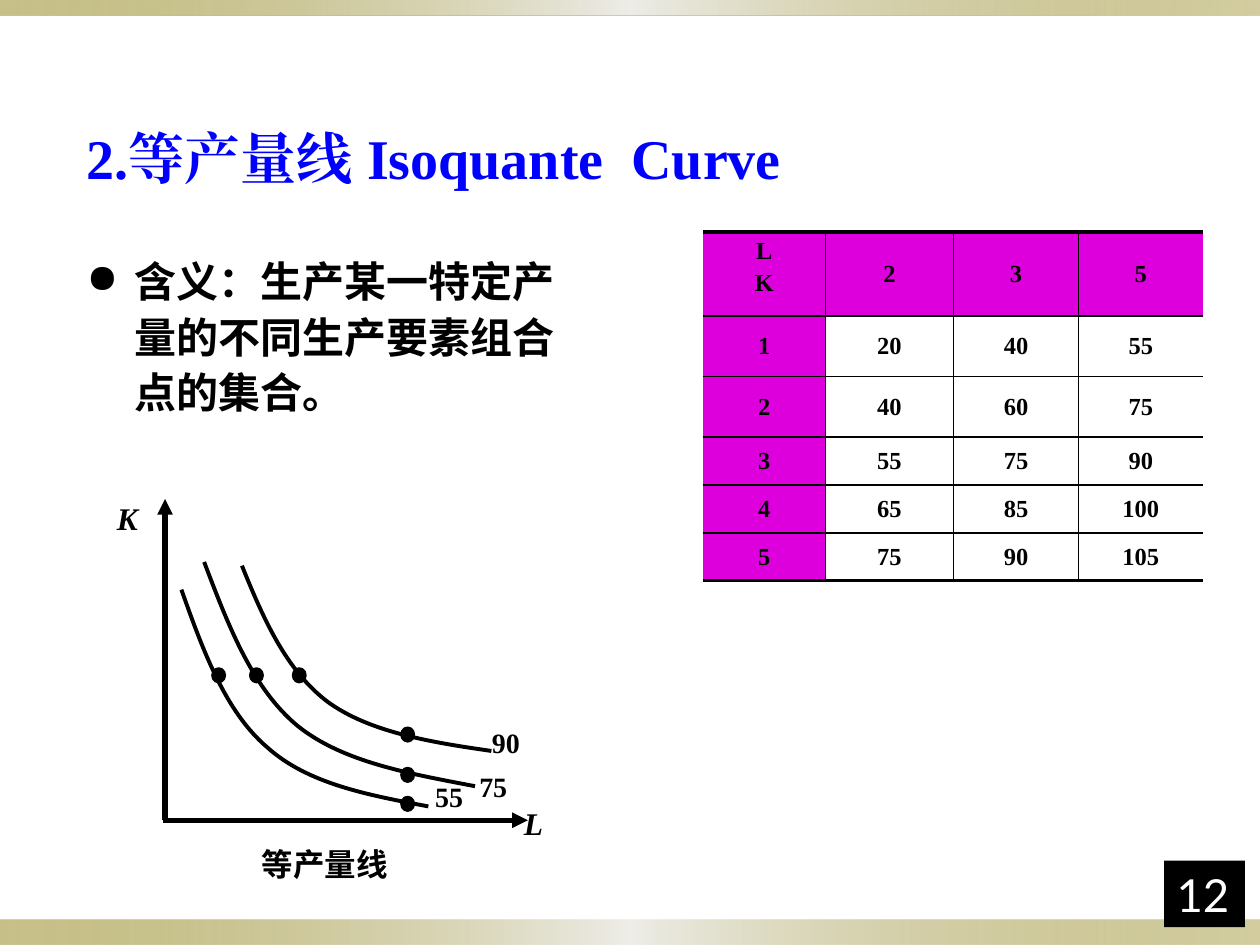
from lxml import etree
from pptx import Presentation
from pptx import util as u
from pptx.dml.color import RGBColor
from pptx.enum import shapes, text
from pptx.oxml import parse_xml
from pptx.oxml.ns import qn

PX = 9144  # EMU per px, 100 px to the inch
BLACK = RGBColor(0x00, 0x00, 0x00)
WHITE = RGBColor(0xFF, 0xFF, 0xFF)
BLUE = RGBColor(0x00, 0x00, 0xFF)
MAGENTA = RGBColor(0xDD, 0x00, 0xDD)
SERIF, SANS, CJK = "Times New Roman", "Lato", "Noto Sans CJK SC"
A = "http://schemas.openxmlformats.org/drawingml/2006/main"
CENTER = text.PP_ALIGN.CENTER
MIDDLE = text.MSO_ANCHOR.MIDDLE


class Board:
    base = {"name": SERIF, "size": 18, "bold": True, "italic": False, "color": BLACK}

    def __init__(self, slide):
        self.s = slide

    def run(self, p, words, **style):
        r = p.add_run()
        r.text = words
        for key, value in {**self.base, **style}.items():
            if key == "color":
                r.font.color.rgb = value
            else:
                setattr(r.font, key, u.Pt(value) if key == "size" else value)
        etree.SubElement(r.font._element, qn("a:ea"), typeface=r.font.name)

    def label(self, box, words, align=None, wrap=True, anchor=text.MSO_ANCHOR.TOP, **style):
        sp = self.s.shapes.add_textbox(*(v * PX for v in box))
        tf = sp.text_frame
        tf.word_wrap, tf.vertical_anchor = wrap, anchor
        p = tf.paragraphs[0]
        p.alignment = align
        if words:
            self.run(p, words, **style)
        return p

    def hang(self, p, indent, bullet=None, percent=100):
        pPr = p._p.get_or_add_pPr()
        pPr.set("marL", str(indent * PX))
        pPr.set("indent", str(-indent * PX))
        if bullet:
            etree.SubElement(pPr, qn("a:buSzPct"), val=str(percent * 1000))
            etree.SubElement(pPr, qn("a:buChar"), char=bullet)

    def block(self, kind, box, fill=None, line=None):
        sp = self.s.shapes.add_shape(kind, *(v * PX for v in box))
        sp.shadow.inherit = False
        if fill is not None:
            sp.fill.solid()
            sp.fill.fore_color.rgb = fill
        if line:
            sp.line.color.rgb, sp.line.width = BLACK, u.Pt(line)
        else:
            sp.line.fill.background()
        return sp

    def band(self, box):
        sp = self.block(shapes.MSO_SHAPE.RECTANGLE, box)
        stops = "".join(
            f'<a:gs pos="{pos}000"><a:srgbClr val="{color}"><a:alpha val="{alpha}000"/></a:srgbClr></a:gs>'
            for pos, color, alpha in ((0, "918415", 50), (50, "EEEDE8", 100), (100, "918415", 40)))
        sp._element.spPr.find(qn("a:prstGeom")).addnext(parse_xml(
            f'<a:gradFill xmlns:a="{A}"><a:gsLst>{stops}</a:gsLst><a:lin ang="0" scaled="0"/></a:gradFill>'))

    def arrow(self, *ends):
        c = self.s.shapes.add_connector(shapes.MSO_CONNECTOR.STRAIGHT, *(v * PX for v in ends))
        c.line.color.rgb, c.line.width = BLACK, u.Pt(3)
        etree.SubElement(c.line._get_or_add_ln(), qn("a:tailEnd"), type="triangle")
        etree.SubElement(c._element.spPr, qn("a:effectLst"))

    def curve(self, start, *points):
        """Draw cubic segments; every three points are two controls and an end."""
        fb = self.s.shapes.build_freeform(*start, scale=PX)
        fb.add_line_segments(points, close=False)
        sp = fb.convert_to_shape()
        sp.shadow.inherit = False
        sp.fill.background()
        sp.line.color.rgb, sp.line.width = BLACK, u.Pt(2.25)
        lines = list(sp._element.iter(qn("a:lnTo")))
        for i in range(0, len(lines), 3):
            cubic = etree.Element(qn("a:cubicBezTo"))
            lines[i].addprevious(cubic)
            for ln in lines[i:i + 3]:
                cubic.append(ln[0])
                ln.getparent().remove(ln)

    def border(self, cell, side, width):
        ln = etree.SubElement(cell._tc.get_or_add_tcPr(), qn(f"a:ln{side}"), w=str(u.Pt(width)))
        if width:
            fill = etree.SubElement(ln, qn("a:solidFill"))
            etree.SubElement(fill, qn("a:srgbClr"), val=str(BLACK))
        else:
            etree.SubElement(ln, qn("a:noFill"))

    def table(self, left, top, widths, heights, rows):
        frame = self.s.shapes.add_table(len(rows), len(widths), left * PX, top * PX,
                                        sum(widths) * PX, sum(heights) * PX)
        tbl = frame.table
        tbl.first_row = tbl.horz_banding = False
        for col, width in zip(tbl.columns, widths):
            col.width = width * PX
        for row, height in zip(tbl.rows, heights):
            row.height = height * PX
        last_row, last_col = len(rows) - 1, len(widths) - 1
        for i, row in enumerate(rows):
            for j, value in enumerate(row):
                cell = tbl.cell(i, j)
                sides = {"L": 1 if j else 0, "R": 1 if j < last_col else 0,
                         "T": 1 if i else 2.25, "B": 1 if i < last_row else 2.25}
                for side, width in sides.items():
                    self.border(cell, side, width)
                if i and j:
                    cell.fill.background()
                else:
                    cell.fill.solid()
                    cell.fill.fore_color.rgb = MAGENTA
                if i or j:
                    cell.vertical_anchor = MIDDLE
                tf = cell.text_frame
                for n, words in enumerate(str(value).split("\n")):
                    p = tf.add_paragraph() if n else tf.paragraphs[0]
                    p.alignment = CENTER
                    if n:
                        p.space_before = u.Pt(2.8)
                    self.run(p, words, size=14)


def main():
    prs = Presentation()
    prs.slide_width, prs.slide_height = 1000 * PX, 750 * PX
    b = Board(prs.slides.add_slide(prs.slide_layouts[6]))

    # Bands along the bottom and top edges
    b.band((0, 730, 1000, 20))
    b.band((0, 0, 1000, 12))

    # Title and definition
    p = b.label((59, 91, 646, 68), "2.等产量线 Isoquante  Curve", anchor=MIDDLE, size=32, color=BLUE)
    b.hang(p, 38)
    p = b.label((59, 194, 394, 183), "")
    b.hang(p, 38, "●", 95)
    p.line_spacing = 1.1
    b.run(p, "含义：", name=CJK, size=24)
    b.run(p, "生产某一特定产量的不同生产要素组合点的集合。", name=SANS, size=24)

    # Output for each mix of labour and capital
    b.table(558, 184, (97, 102, 99, 99), (67, 48, 48, 38, 38, 38), (
        ("L\nK", 2, 3, 5),
        (1, 20, 40, 55),
        (2, 40, 60, 75),
        (3, 55, 75, 90),
        (4, 65, 85, 100),
        (5, 75, 90, 105)))

    # Slide number
    sp = b.block(shapes.MSO_SHAPE.RECTANGLE, (924, 683, 64, 53), BLACK)
    sp.text_frame.vertical_anchor = text.MSO_ANCHOR.BOTTOM
    p = sp.text_frame.paragraphs[0]
    p.alignment = text.PP_ALIGN.LEFT
    b.run(p, "12", name=SANS, size=26, bold=False, color=WHITE)

    # Axes
    b.arrow(129, 651, 419, 651)
    b.arrow(131, 651, 131, 396)

    # Isoquants
    b.curve((144, 468), (161, 516), (179, 565), (212, 593), (244, 622), (292, 631), (340, 640))
    b.curve((162, 446), (181, 496), (200, 546), (236, 576), (272, 605), (325, 614), (377, 624))
    b.curve((192, 449), (209, 491), (227, 532), (260, 557), (293, 581), (341, 589), (390, 596))

    # Labels
    for words, left, top in (("L", 406, 633), ("K", 83, 391)):
        b.label((left, top, 33, 40), words, italic=True)
    for words, left, top in (("55", 308, 614), ("75", 343, 606), ("90", 353, 571)):
        b.label((left, top, 97, 37), words, CENTER, size=16)
    b.label((198, 666, 121, 40), "等产量线", wrap=False, name=SANS)

    # Points on the isoquants
    for left, top in ((169, 531), (199, 531), (233, 531), (319, 578), (319, 610), (319, 633)):
        b.block(shapes.MSO_SHAPE.OVAL, (left, top, 9, 10), BLACK, 2)

    prs.save("out.pptx")


if __name__ == "__main__":
    main()
